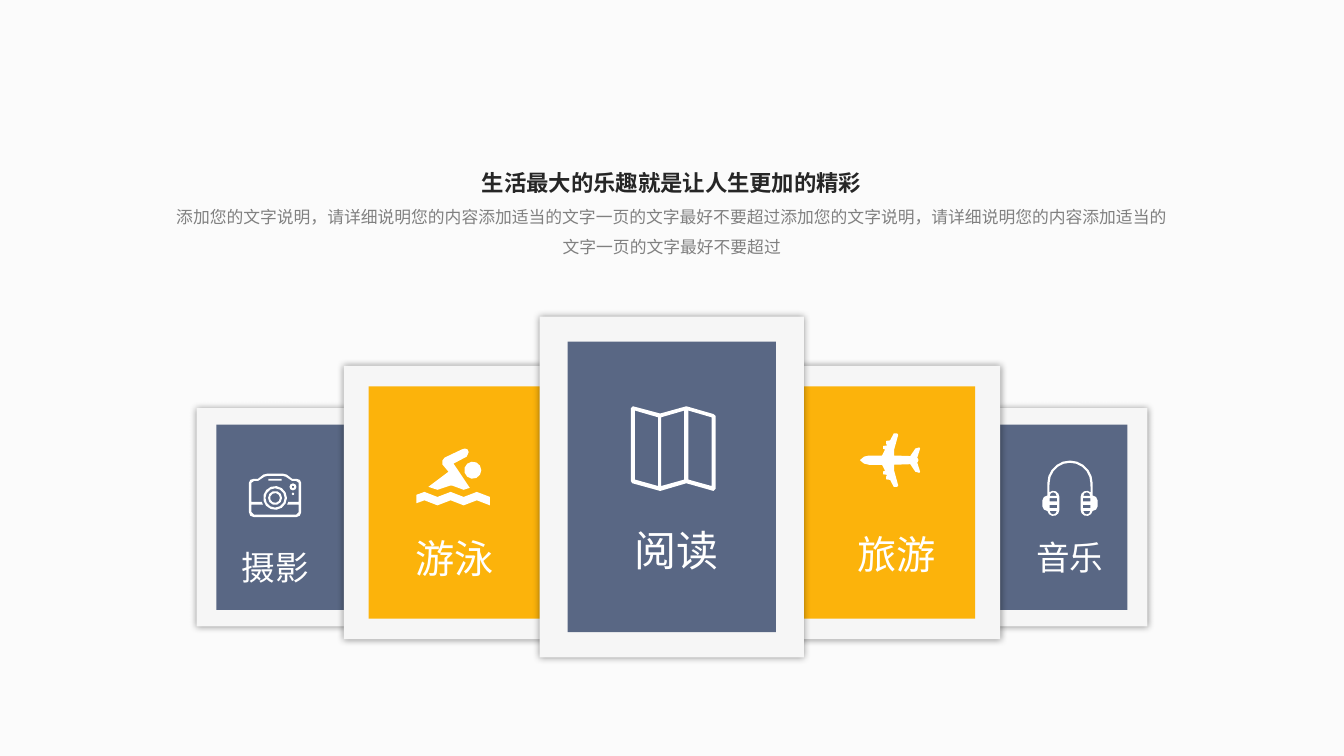
import math
from dataclasses import dataclass

import pptx
import pptx.dml.color
import pptx.enum.shapes
import pptx.enum.text
import pptx.oxml
import pptx.oxml.ns
import pptx.util

Pt = pptx.util.Pt


@dataclass(frozen=True)
class Theme:
    font: str = "Calibri"
    background: str = "FBFBFB"
    frame: str = "F6F6F6"
    slate: str = "596784"
    amber: str = "FCB30B"
    white: str = "FFFFFF"
    heading: str = "262626"
    body: str = "808080"
    heading_size: float = 16
    body_size: float = 12
    small_label: float = 24
    medium_label: float = 28
    large_label: float = 30


def arc(x, y, radius, start, end):
    steps = math.ceil(abs(end - start) / 360 * (6 + 0.8 * radius))
    angles = [math.radians(start + (end - start) * i / steps) for i in range(steps + 1)]
    return [(x + radius * math.cos(a), y + radius * math.sin(a)) for a in angles]


def circle(x, y, radius):
    return arc(x, y, radius, 0, 360)[:-1]


def rectangle(left, top, right, bottom):
    return [(left, top), (right, top), (right, bottom), (left, bottom)]


def flip_x(points, axis):
    return [(2 * axis - x, y) for x, y in reversed(points)]


def flip_y(points, axis):
    return [(x, 2 * axis - y) for x, y in reversed(points)]


def camera():
    body = [(0, 6.5), (1, 4.4), (3.6, 3.6), (6.5, 3.6), (10.4, 0.6), (13, 0),
            (24.5, 0), (27, 0.6), (30.9, 3.6), (33.8, 3.6), (36.4, 4.4),
            (37.4, 6.5), (37.4, 27.4), (36.4, 30), (33.8, 31), (3.6, 31), (1, 30), (0, 27.4)]
    inside = [(35.6, 20.2), (28.1, 20.2), (27.4, 22), (35.6, 22), (35.6, 27.4), (33.8, 29.2),
              (3.6, 29.2), (1.8, 27.4), (1.8, 22), (10, 22), (9.3, 20.2), (1.8, 20.2),
              (1.8, 6.5), (3.6, 5.2), (6.5, 5.2), (11, 2.2), (13, 1.6),
              (24.5, 1.6), (26.4, 2.2), (30.9, 5.2), (33.8, 5.2), (35.6, 6.5)]
    lens = [circle(18.7, 17.3, radius) for radius in (8.5, 6.9, 5, 3.5)]
    lights = [circle(31.5, 9.4, 2.5), circle(31.5, 9.4, 0.9), circle(31.5, 14.4, 0.9)]
    return [body, inside, rectangle(14, 3.6, 23.4, 5)] + lens + lights


def swimmer():
    crest = [(0, 33.1), (5.8, 31), (15.1, 34.6), (24.5, 31), (33.8, 34.6), (43.2, 31), (52.6, 34.6)]
    water = crest + [(x, y + 6) for x, y in reversed(crest)]
    torso = [(34.6, 0), (36.6, 0.6), (37.4, 2.6), (36, 5.8), (26.6, 10.8),
             (38.2, 28.1), (33.8, 29.5), (25.9, 26.6), (23.8, 26.6), (15.1, 29.5),
             (8.6, 27.4), (23, 16.6), (18.7, 11.5), (18.6, 8.6), (20.2, 6.5), (32.4, 0.7)]
    return [water, circle(40.3, 15.5, 6.1), torso]


def folded_map():
    sheet = [(0, 1.4), (1.4, 0), (20.9, 5.2), (39.6, 0), (59, 5.6), (60.5, 7),
             (60.5, 59), (59, 60.5), (39.6, 55), (20.9, 60.5), (1, 55), (0, 53.6)]
    panel = [(2.9, 3.1), (19.4, 7.9), (19.4, 57), (2.9, 52.4)]
    middle = flip_x(panel, 20.5)
    return [sheet, panel, middle, flip_x(middle, 39.6)]


def plane():
    side = [(0, 19.1), (3, 16.6), (6.5, 15.8), (15.8, 15.8), (18, 11.5),
            (16.6, 11), (16.6, 9), (19.4, 8.6), (18.7, 7.2), (18.7, 5.4), (21.6, 5),
            (24.2, 0), (26.6, 0), (27.4, 1), (24.5, 11.5), (24.5, 15.8),
            (36, 16.2), (39.6, 10.8), (42.5, 10), (43, 11), (41, 17.3), (41.8, 18.7)]
    return [side + flip_y(side, 19.1)]


def headphones():
    center = 19.8
    half = (arc(center, 16.2, 16.2, 270, 180)
            + [(3.6, 25), (1.2, 26), (0, 28.6), (0, 32.6), (1.2, 35), (3.6, 36)]
            + arc(7.9, 35.3, 4.3, 170, 0)
            + arc(7.9, 25.9, 4.3, 0, -132)
            + arc(center, 16.2, 14.6, 180, 270))
    dome = arc(7.8, 25.2, 2.5, 180, 360)
    gaps = [dome, rectangle(5.2, 26.8, 10.6, 29.2), rectangle(5.2, 31.6, 10.6, 34),
            flip_y(dome, 30.6)]
    return [half + flip_x(half, center)] + gaps + [flip_x(gap, center) for gap in gaps]


class Page:
    def __init__(self, deck, theme):
        self.theme = theme
        self.slide = deck.slides.add_slide(deck.slide_layouts[6])
        self.paint(self.slide.background.fill, theme.background)

    def paint(self, fill, color):
        fill.solid()
        fill.fore_color.rgb = pptx.dml.color.RGBColor.from_string(color)

    def finish(self, shape, color):
        shape.shadow.inherit = False
        self.paint(shape.fill, color)
        shape.line.fill.background()
        return shape

    def block(self, left, top, width, height, color):
        kind = pptx.enum.shapes.MSO_SHAPE.RECTANGLE
        shape = self.slide.shapes.add_shape(kind, Pt(left), Pt(top), Pt(width), Pt(height))
        return self.finish(shape, color)

    def card(self, left, top, width, height, margin_x, margin_y, color):
        frame = self.block(left, top, width, height, self.theme.frame)
        effects = frame.element.spPr.find(pptx.oxml.ns.qn("a:effectLst"))
        effects.append(pptx.oxml.parse_xml(
            f'<a:outerShdw {pptx.oxml.ns.nsdecls("a")} blurRad="{Pt(5)}" dist="0" dir="0" '
            'algn="ctr" rotWithShape="0"><a:srgbClr val="000000"><a:alpha val="40000"/>'
            '</a:srgbClr></a:outerShdw>'))
        self.block(left + margin_x, top + margin_y,
                   width - 2 * margin_x, height - 2 * margin_y, color)

    def text(self, left, top, width, height, lines, wrap, spacing=None):
        box = self.slide.shapes.add_textbox(Pt(left), Pt(top), Pt(width), Pt(height))
        frame = box.text_frame
        frame.word_wrap = wrap
        frame.auto_size = pptx.enum.text.MSO_AUTO_SIZE.SHAPE_TO_FIT_TEXT
        for index, (words, size, color, bold) in enumerate(lines):
            para = frame.add_paragraph() if index else frame.paragraphs[0]
            para.text = words
            para.alignment = pptx.enum.text.PP_ALIGN.CENTER
            para.line_spacing = spacing
            para.font.name = self.theme.font
            para.font.size = Pt(size)
            para.font.bold = bold
            para.font.color.rgb = pptx.dml.color.RGBColor.from_string(color)

    def label(self, center, top, words, size):
        width, height = 2 * size + 14.4, 1.2 * size + 7.2
        lines = [(words, size, self.theme.white, False)]
        self.text(center - width / 2, top, width, height, lines, wrap=False)

    def icon(self, left, top, outlines):
        builder = None
        for outline in outlines:
            points = [(Pt(left + x), Pt(top + y)) for x, y in outline]
            if builder is None:
                builder = self.slide.shapes.build_freeform(*points[0])
            else:
                builder.move_to(*points[0])
            builder.add_line_segments(points[1:], close=True)
        self.finish(builder.convert_to_shape(), self.theme.white)


def main():
    deck = pptx.Presentation()
    deck.slide_width, deck.slide_height = Pt(960), Pt(540)
    theme = Theme()
    page = Page(deck, theme)

    small = (291.6, 134.8, 155.8, 14.2, 11.8, theme.slate)
    medium = (261.4, 169.2, 195.2, 17.8, 14.6, theme.amber)
    large = (226.1, 188.8, 243.4, 20, 18, theme.slate)
    for left, style in ((684.8, small), (545.2, medium), (140.4, small),
                        (245.6, medium), (385.4, large)):
        page.card(left, *style)

    page.text(118.8, 108, 722.2, 101.5, [
        ("生活最大的乐趣就是让人生更加的精彩", theme.heading_size, theme.heading, True),
        ("添加您的文字说明，请详细说明您的内容添加适当的文字一页的文字最好不要超过"
         "添加您的文字说明，请详细说明您的内容添加适当的文字一页的文字最好不要超过",
         theme.body_size, theme.body, False),
    ], wrap=True, spacing=1.5)

    for words, size, center, top, icon_left, icon_top, outlines in (
        ("摄影", theme.small_label, 196.6, 387.4, 177.8, 338.4, camera()),
        ("音乐", theme.small_label, 764, 380.2, 744.5, 329, headphones()),
        ("阅读", theme.large_label, 483.1, 370.8, 450.7, 290.2, folded_map()),
        ("游泳", theme.medium_label, 325, 378, 297.4, 320.4, swimmer()),
        ("旅游", theme.medium_label, 640.4, 375.1, 614.2, 309.6, plane()),
    ):
        page.label(center, top, words, size)
        page.icon(icon_left, icon_top, outlines)

    deck.save("out.pptx")


if __name__ == "__main__":
    main()
